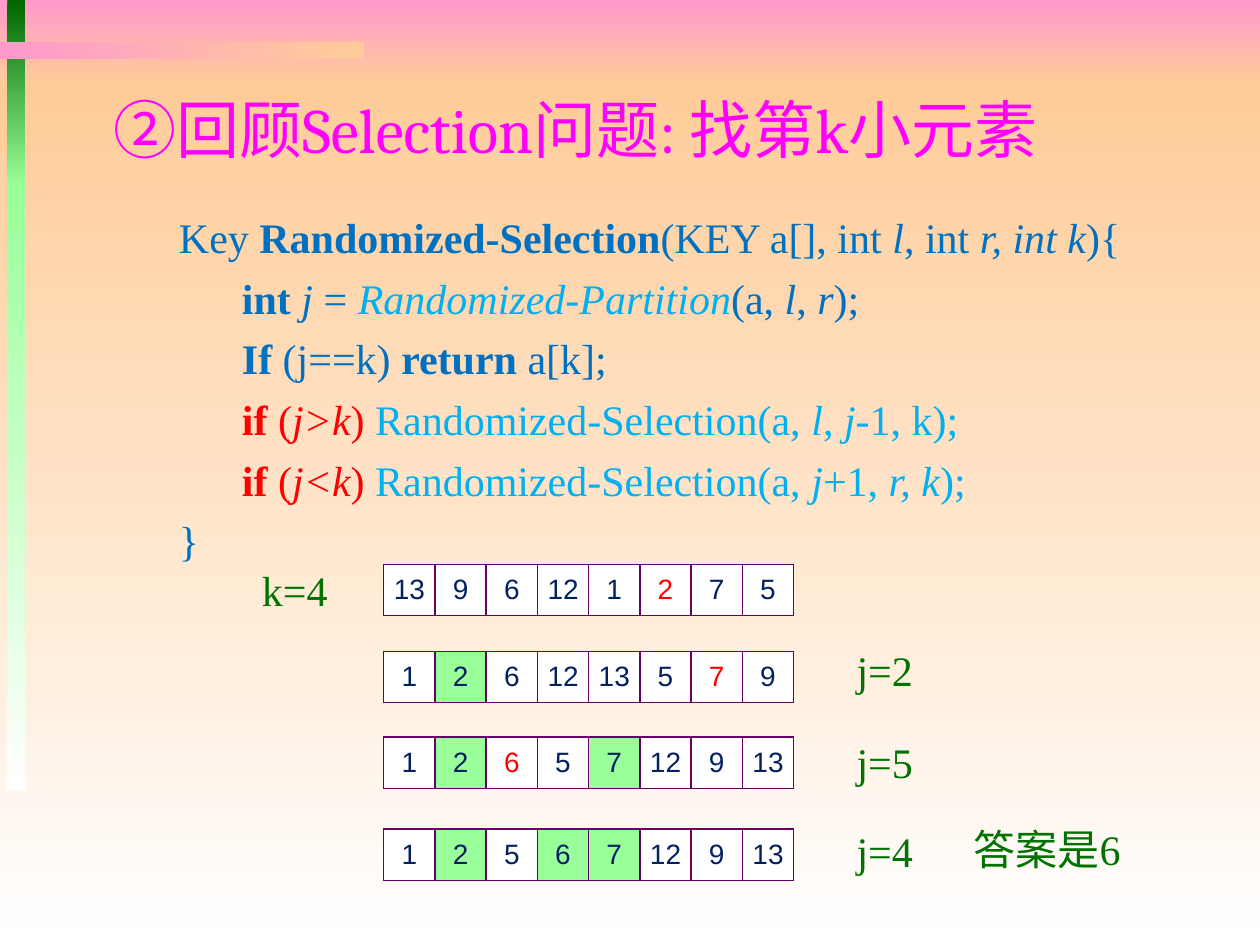
import typing

import pptx
import pptx.dml.color
import pptx.enum.shapes
import pptx.enum.text
import pptx.oxml
import pptx.oxml.ns
import pptx.util

COLS, ROWS = 100, 75
CELL = 4.07
SERIF = "Times New Roman"
BLUE, SKY, RED, GREEN = "0070C0", "00B0F0", "FF0000", "007200"
PINK, PEACH, LIME, WHITE = "FF99CC", "FFCC99", "99FF99", "FFFFFF"
MID = pptx.enum.text.MSO_ANCHOR.MIDDLE

deck = pptx.Presentation()
deck.slide_width = pptx.util.Inches(10)
deck.slide_height = pptx.util.Inches(7.5)


class Area(typing.NamedTuple):
    col: float
    row: float
    wide: float
    high: float


class Band(typing.NamedTuple):
    area: Area
    start: str
    end: str
    angle: int = 270


class Bit(typing.NamedTuple):
    text: str
    style: str = ""
    hue: str = BLUE


class Line(typing.NamedTuple):
    inset: float
    bits: typing.List[Bit]


class Step(typing.NamedTuple):
    row: float
    keys: str
    pivot: int = -1
    fixed: typing.Tuple[int, ...] = ()


class Label(typing.NamedTuple):
    area: Area
    text: str


BANDS = [
    Band(Area(0, 0, 100, 6.7), PINK, PEACH),
    Band(Area(0, 6.7, 100, 68.3), PEACH, WHITE),
    Band(Area(0.6, 0, 1.4, 14.8), "006600", LIME),
    Band(Area(0.6, 14.6, 1.4, 48.1), LIME, WHITE),
    Band(Area(0, 3.3, 28.9, 1.4), PINK, PEACH, 0),
]


def branch(sign: str, *rest: Bit) -> Line:
    return Line(5, [Bit("if", "b", RED), Bit(" (", "", RED), Bit(f"j{sign}k", "i", RED),
                    Bit(") ", "", RED), Bit("Randomized-Selection(a, ", "", SKY), *rest])


CODE = [
    Line(0, [Bit("Key"), Bit(" Randomized-Selection", "b"), Bit("(KEY a[], int "),
             Bit("l", "i"), Bit(", int "), Bit("r, int k", "i"), Bit("){")]),
    Line(5, [Bit("int ", "b"), Bit("j", "i"), Bit(" = "),
             Bit("Randomized-Partition", "i", SKY), Bit("(a, "), Bit("l", "i"),
             Bit(", "), Bit("r", "i"), Bit(");")]),
    Line(5, [Bit("If", "b"), Bit(" (j==k) "), Bit("return", "b"), Bit(" a[k];")]),
    branch(">", Bit("l", "i", SKY), Bit(", ", "", SKY), Bit("j", "i", SKY),
           Bit("-1, k);", "", SKY)),
    branch("<", Bit("j", "i", SKY), Bit("+1, ", "", SKY), Bit("r, k", "i", SKY),
           Bit(");", "", SKY)),
    Line(0, [Bit("}")]),
]

STEPS = [
    Step(44.8, "13 9 6 12 1 2 7 5", 5),
    Step(51.7, "1 2 6 12 13 5 7 9", 6, (1,)),
    Step(58.5, "1 2 6 5 7 12 9 13", 2, (1, 4)),
    Step(65.8, "1 2 5 6 7 12 9 13", fixed=(1, 3, 4)),
]

LABELS = [
    Label(Area(19.8, 44.3, 23.5, 5), "k=4"),
    Label(Area(67, 50.7, 7.1, 5), "j=2"),
    Label(Area(67, 58, 7.1, 5), "j=5"),
    Label(Area(67, 65, 7.8, 5), "j=4"),
    Label(Area(76.3, 64.9, 16.7, 5), "答案是6"),
]


def across(cols: float) -> int:
    return round(deck.slide_width * cols / COLS)


def down(rows: float) -> int:
    return round(deck.slide_height * rows / ROWS)


def frame(area: Area) -> typing.Tuple[int, int, int, int]:
    return across(area.col), down(area.row), across(area.wide), down(area.high)


def place(shape, area: Area) -> None:
    shape.left, shape.top, shape.width, shape.height = frame(area)


def tint(code: str):
    return pptx.dml.color.RGBColor.from_string(code)


def write(para, text: str, *, size: float = 24, face: str = SERIF, hue: str = BLUE,
          style: str = "") -> None:
    run = para.add_run()
    run.text = text
    font = run.font
    font.size, font.name = pptx.util.Pt(size), face
    font.bold, font.italic = "b" in style, "i" in style
    font.color.rgb = tint(hue)
    east = pptx.oxml.parse_xml(
        f'<a:ea {pptx.oxml.ns.nsdecls("a")} typeface="Noto Sans CJK SC"/>')
    font._element.find(pptx.oxml.ns.qn("a:latin")).addnext(east)


def draw_band(slide, band: Band, depth: int) -> None:
    kind = pptx.enum.shapes.MSO_SHAPE.RECTANGLE
    shape = slide.shapes.add_shape(kind, *frame(band.area))
    shape.shadow.inherit = False
    shape.line.fill.background()
    shape.fill.gradient()
    shape.fill.gradient_angle = band.angle
    for stop, hue, spot in zip(shape.fill.gradient_stops, (band.start, band.end), (0, 1)):
        stop.color.rgb = tint(hue)
        stop.position = spot
    slide.shapes._spTree.insert(2 + depth, shape._element)


def draw_title(shape) -> None:
    place(shape, Area(8, 5.7, 85, 9))
    text = shape.text_frame
    text.auto_size = pptx.enum.text.MSO_AUTO_SIZE.NONE
    text.vertical_anchor = MID
    para = text.paragraphs[0]
    para.alignment = pptx.enum.text.PP_ALIGN.LEFT
    write(para, "②", size=36, face="Noto Sans CJK SC", hue="FF00FF")
    write(para, "回顾Selection问题: 找第k小元素", size=36, face="Cambria", hue="FF00FF")


def draw_code(shape, lines: typing.List[Line]) -> None:
    place(shape, Area(13.2, 15.9, 79.3, 29.6))
    text = shape.text_frame
    text.auto_size = pptx.enum.text.MSO_AUTO_SIZE.NONE
    text.margin_top = down(0.9)
    for rank, line in enumerate(lines):
        para = text.add_paragraph() if rank else text.paragraphs[0]
        para.level = 1 if line.inset else 0
        props = para._p.get_or_add_pPr()
        props.set("marL", str(across(line.inset)))
        props.set("indent", "0")
        para.space_before = pptx.util.Pt(5.8 if rank else 0)
        props.append(pptx.oxml.parse_xml(f'<a:buNone {pptx.oxml.ns.nsdecls("a")}/>'))
        for bit in line.bits:
            write(para, bit.text, hue=bit.hue, style=bit.style)


def edge(cell, hue: str) -> None:
    props = cell._tc.get_or_add_tcPr()
    for side in "LRTB":
        props.append(pptx.oxml.parse_xml(
            f'<a:ln{side} {pptx.oxml.ns.nsdecls("a")} w="12700"><a:solidFill>'
            f'<a:srgbClr val="{hue}"/></a:solidFill></a:ln{side}>'))


def draw_step(slide, step: Step) -> None:
    keys = step.keys.split()
    area = Area(30.45, step.row, CELL * len(keys), CELL)
    table = slide.shapes.add_table(1, len(keys), *frame(area)).table
    table.first_row = table.horz_banding = False
    for rank, key in enumerate(keys):
        cell = table.cell(0, rank)
        edge(cell, "660066")
        cell.fill.solid()
        cell.fill.fore_color.rgb = tint(LIME if rank in step.fixed else WHITE)
        cell.margin_left = cell.margin_right = across(0.7)
        cell.margin_top = cell.margin_bottom = down(0.4)
        cell.vertical_anchor = MID
        para = cell.text_frame.paragraphs[0]
        para.alignment = pptx.enum.text.PP_ALIGN.CENTER
        write(para, key, size=16, face="Arial", hue=RED if rank == step.pivot else "002060")


def draw_label(slide, label: Label) -> None:
    text = slide.shapes.add_textbox(*frame(label.area)).text_frame
    text.word_wrap = True
    write(text.paragraphs[0], label.text, hue=GREEN)


def main() -> None:
    slide = deck.slides.add_slide(deck.slide_layouts[1])
    for depth, band in enumerate(BANDS):
        draw_band(slide, band, depth)
    draw_title(slide.shapes.title)
    draw_code(slide.placeholders[1], CODE)
    for step in STEPS:
        draw_step(slide, step)
    for label in LABELS:
        draw_label(slide, label)
    deck.save("out.pptx")


if __name__ == "__main__":
    main()
